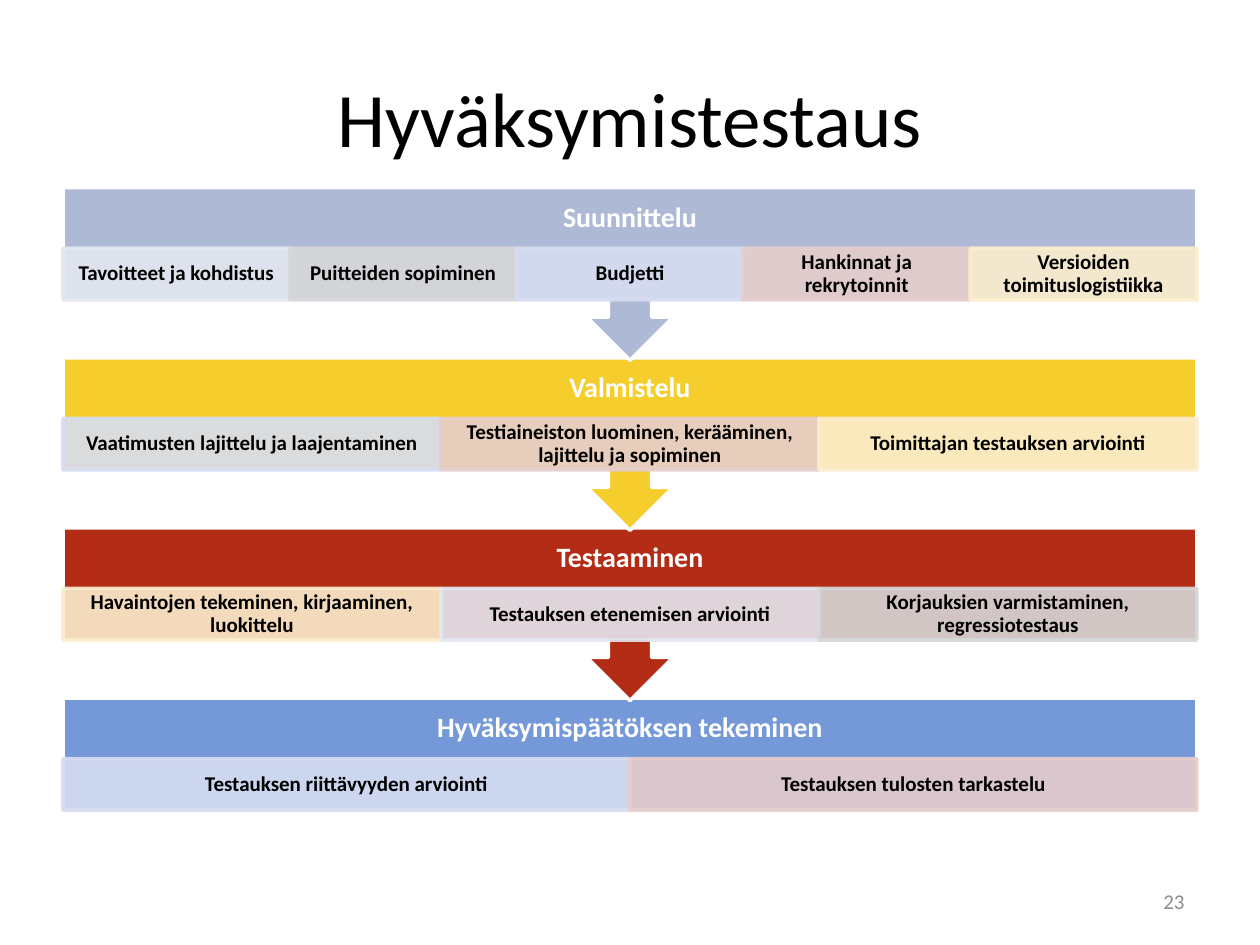
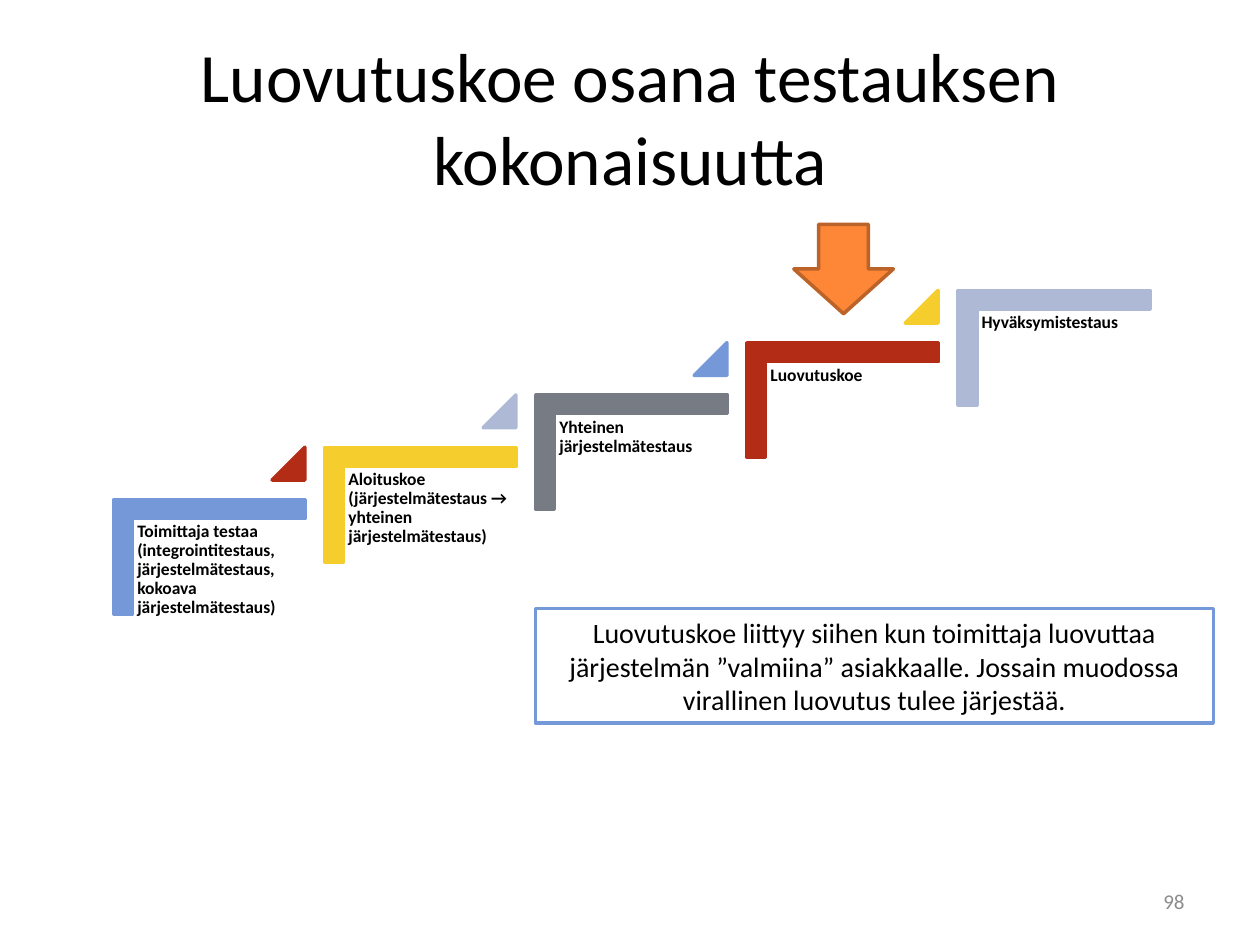
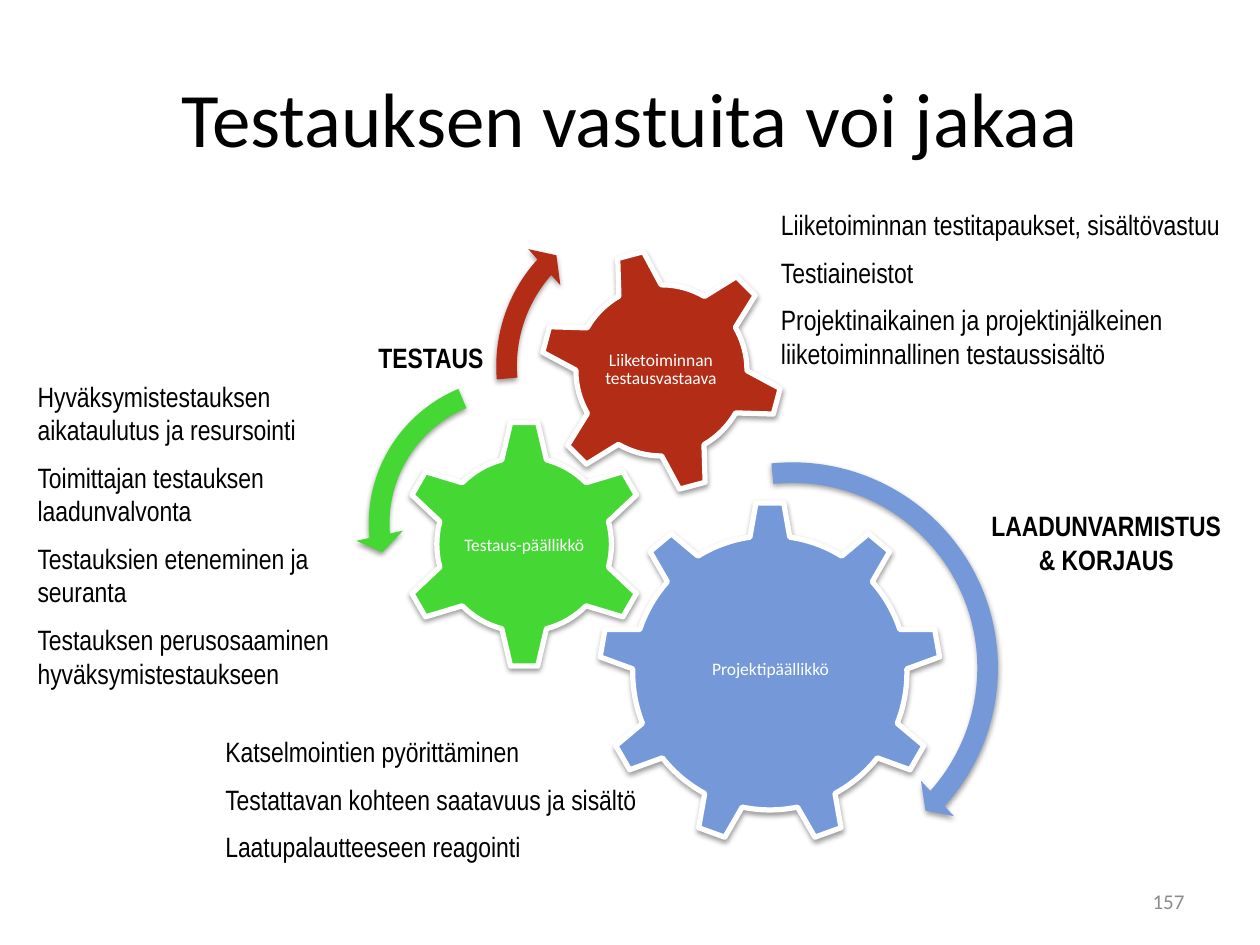
"""Builds three slides about acceptance testing, laid out on a grid of 100 columns by 75 rows."""

import dataclasses
import typing

import lxml.etree
import pptx
import pptx.dml.color
import pptx.enum.shapes
import pptx.enum.text
import pptx.oxml.ns
import pptx.presentation
import pptx.shapes.autoshape
import pptx.slide
import pptx.util

KIND = pptx.enum.shapes.MSO_SHAPE
ALIGN = pptx.enum.text.PP_ALIGN
ANCHOR = pptx.enum.text.MSO_ANCHOR

WIDTH, HEIGHT = pptx.util.Inches(10), pptx.util.Inches(7.5)
COLUMNS, ROWS = 100, 75

BLACK, WHITE, GREY = "000000", "FFFFFF", "8C8C8C"
BLUE, RED, YELLOW, LAVENDER = "7598D9", "B32C16", "F5CD2D", "AEBAD5"
SLATE, GREEN, ORANGE, BROWN = "777C84", "45D834", "FE8637", "BC6329"
TINTS = ("E3E7EF", "D6D7D9", "D6DDF1", "E5CDCC", "FBEDCD")


class Area(typing.NamedTuple):
    """A rectangle in grid columns and rows."""

    left: float
    top: float
    width: float
    height: float

    def moved(self, columns: float, rows: float) -> "Area":
        """Return the same rectangle shifted on the grid."""
        return self._replace(left=self.left + columns, top=self.top + rows)

    def lengths(self) -> tuple[int, int, int, int]:
        """Return the rectangle in slide units."""
        across, down = WIDTH / COLUMNS, HEIGHT / ROWS
        return (round(self.left * across), round(self.top * down),
                round(self.width * across), round(self.height * down))


@dataclasses.dataclass(frozen=True)
class TextStyle:
    """Formatting of a whole text frame; margins are in inches."""

    size: float
    color: str = BLACK
    bold: bool = False
    align: ALIGN = ALIGN.CENTER
    anchor: ANCHOR = ANCHOR.MIDDLE
    margins: tuple[float, float] = (0.1, 0.05)
    line_spacing: float = 1.0
    space_before: float = 0
    font: str = "Calibri"


class Stage(typing.NamedTuple):
    """A stage of acceptance testing with its tasks."""

    name: str
    color: str
    first_tint: int
    tasks: tuple[str, ...]


class Step(typing.NamedTuple):
    """A step of the testing staircase and the triangle leading on from it."""

    name: str
    color: str
    triangle: str | None


class Gear(typing.NamedTuple):
    """A gear that stands for a role, with the arrow turning it."""

    role: str
    color: str
    kind: KIND
    area: Area
    label: Area
    rotation: float
    arrow: KIND
    arrow_area: Area
    arrow_shape: tuple[float, ...]


class Note(typing.NamedTuple):
    """A list of duties or a heading beside the gears."""

    area: Area
    style: TextStyle
    lines: tuple[str, ...]


TITLE_AREA = Area(5, 3, 90, 12.5)
NUMBER_AREA = Area(71.7, 69.5, 23.3, 4)
NUMBER = TextStyle(12, GREY, align=ALIGN.RIGHT)
STAGE = TextStyle(16, WHITE, True, margins=(0.12, 0.12), line_spacing=0.9)
TASK = TextStyle(12, BLACK, True, margins=(0.09, 0.02), line_spacing=0.9)
STEP = TextStyle(10, BLACK, True, ALIGN.LEFT, ANCHOR.TOP, (0.04, 0.04), 0.9)
CAPTION = TextStyle(16)
ROLE = TextStyle(10, WHITE, margins=(0.01, 0.01), line_spacing=0.9)
DUTY = TextStyle(16, align=ALIGN.LEFT, anchor=ANCHOR.TOP, space_before=8, font="Arial Narrow")
HEADING = dataclasses.replace(DUTY, bold=True, align=ALIGN.CENTER)

STAGES = (
    Stage("Suunnittelu", LAVENDER, 0,
          ("Tavoitteet ja kohdistus", "Puitteiden sopiminen", "Budjetti",
           "Hankinnat ja rekrytoinnit", "Versioiden toimituslogistiikka")),
    Stage("Valmistelu", YELLOW, 2,
          ("Vaatimusten lajittelu ja laajentaminen",
           "Testiaineiston luominen, kerääminen, lajittelu ja sopiminen",
           "Toimittajan testauksen arviointi")),
    Stage("Testaaminen", RED, 4,
          ("Havaintojen tekeminen, kirjaaminen, luokittelu",
           "Testauksen etenemisen arviointi",
           "Korjauksien varmistaminen, regressiotestaus")),
    Stage("Hyväksymispäätöksen tekeminen", BLUE, 2,
          ("Testauksen riittävyyden arviointi", "Testauksen tulosten tarkastelu")),
)

STEPS = (
    Step("Toimittaja testaa (integrointitestaus, järjestelmätestaus, kokoava järjestelmätestaus)",
         BLUE, RED),
    Step("Aloituskoe (järjestelmätestaus → yhteinen järjestelmätestaus)", YELLOW, LAVENDER),
    Step("Yhteinen järjestelmätestaus", SLATE, BLUE),
    Step("Luovutuskoe", RED, YELLOW),
    Step("Hyväksymistestaus", LAVENDER, None),
)

GEARS = (
    Gear("Projektipäällikkö", BLUE, KIND.GEAR_9, Area(47.5, 39.8, 27.2, 27.2),
         Area(53, 46.2, 16.3, 14), 0, KIND.CIRCULAR_ARROW, Area(45.5, 35.6, 34.8, 34.8),
         (0.047, 2.99, 25.236, 158.454, 0.055)),
    Gear("Testaus-päällikkö", GREEN, KIND.GEAR_6, Area(31.7, 33.3, 19.8, 19.8),
         Area(36.7, 38.4, 9.8, 9.8), 0, KIND.LEFT_CIRCULAR_ARROW, Area(28.2, 28.9, 25.3, 25.3),
         (0.065, 4.3, 104.891, 148.378, 0.075)),
    Gear("Liiketoiminnan testausvastaava", RED, KIND.GEAR_6, Area(42.8, 19.7, 19.4, 19.4),
         Area(47, 23.9, 10.9, 10.9), 345, KIND.CIRCULAR_ARROW, Area(38.3, 15.4, 27.3, 27.3),
         (0.06, 3.941, 133.138, 105.082, 0.07)),
)

NOTES = (
    Note(Area(61, 16, 37, 14.4), DUTY,
         ("Liiketoiminnan testitapaukset, sisältövastuu", "Testiaineistot",
          "Projektinaikainen ja projektinjälkeinen liiketoiminnallinen testaussisältö")),
    Note(Area(2, 29.6, 26, 26.4), DUTY,
         ("Hyväksymistestauksen aikataulutus ja resursointi",
          "Toimittajan testauksen laadunvalvonta", "Testauksien eteneminen ja seuranta",
          "Testauksen perusosaaminen hyväksymistestaukseen")),
    Note(Area(16.9, 57.8, 37, 11.8), DUTY,
         ("Katselmointien pyörittäminen", "Testattavan kohteen saatavuus ja sisältö",
          "Laatupalautteeseen reagointi")),
    Note(Area(76.8, 39.9, 22, 6.4), HEADING, ("LAADUNVARMISTUS & KORJAUS",)),
    Note(Area(23.2, 26.5, 22, 3.7), HEADING, ("TESTAUS",)),
)


def paint(color_format: pptx.dml.color.ColorFormat, color: str) -> None:
    """Set a colour from its hex string."""
    color_format.rgb = pptx.dml.color.RGBColor.from_string(color)


def write(shape: pptx.shapes.autoshape.Shape, style: TextStyle, *lines: str) -> None:
    """Fill a shape with one paragraph a line and format them."""
    frame = shape.text_frame
    frame.text = "\n".join(lines)
    frame.word_wrap = True
    frame.auto_size = pptx.enum.text.MSO_AUTO_SIZE.NONE
    frame.vertical_anchor = style.anchor
    side, edge = (pptx.util.Inches(margin) for margin in style.margins)
    frame.margin_left = frame.margin_right = side
    frame.margin_top = frame.margin_bottom = edge
    for index, paragraph in enumerate(frame.paragraphs):
        paragraph.alignment = style.align
        paragraph.line_spacing = style.line_spacing
        paragraph.space_before = pptx.util.Pt(style.space_before if index else 0)
        for span in paragraph.runs:
            span.font.name = style.font
            span.font.size = pptx.util.Pt(style.size)
            span.font.bold = style.bold
            paint(span.font.color, style.color)


def add_text(page: pptx.slide.Slide, area: Area, style: TextStyle, *lines: str) -> None:
    """Add a text box."""
    write(page.shapes.add_textbox(*area.lengths()), style, *lines)


def add_figure(page: pptx.slide.Slide, kind: KIND, area: Area, fill: str,
               line: str | None = None, line_width: float = 2, rotation: float = 0,
               adjustments: tuple[float, ...] = ()) -> pptx.shapes.autoshape.Shape:
    """Add a flat preset shape."""
    shape = page.shapes.add_shape(kind, *area.lengths())
    shape.shadow.inherit = False
    shape.rotation = rotation
    for index, value in enumerate(adjustments):
        shape.adjustments[index] = value
    shape.fill.solid()
    paint(shape.fill.fore_color, fill)
    if line:
        paint(shape.line.color, line)
        shape.line.width = pptx.util.Pt(line_width)
    else:
        shape.line.fill.background()
    return shape


def add_element(parent: lxml.etree._Element, tag: str, **values: int | str) -> lxml.etree._Element:
    """Append a drawing element with its attributes."""
    attributes = {key: str(value) for key, value in values.items()}
    return lxml.etree.SubElement(parent, pptx.oxml.ns.qn(tag), attributes)


def make_translucent(shape: pptx.shapes.autoshape.Shape, opacity: int) -> None:
    """Set the opacity of fill and line in percent."""
    for color in list(shape.element.spPr.iter(pptx.oxml.ns.qn("a:srgbClr"))):
        add_element(color, "a:alpha", val=opacity * 1000)


def add_shadow(shape: pptx.shapes.autoshape.Shape) -> None:
    """Give a shape a soft shadow below it."""
    effects = shape.element.spPr.find(pptx.oxml.ns.qn("a:effectLst"))
    shadow = add_element(effects, "a:outerShdw", blurRad=pptx.util.Pt(3.1),
                         dist=pptx.util.Pt(1.6), dir=90 * 60000, rotWithShape=0)
    color = add_element(shadow, "a:srgbClr", val=BLACK)
    add_element(color, "a:alpha", val=38000)


def add_page(deck: pptx.presentation.Presentation, title: str, number: int,
             title_size: float = 44) -> pptx.slide.Slide:
    """Add a slide with its title and number."""
    page = deck.slides.add_slide(deck.slide_layouts.get_by_name("Title Only"))
    heading = page.shapes.title
    heading.left, heading.top, heading.width, heading.height = TITLE_AREA.lengths()
    write(heading, TextStyle(title_size), title)
    add_text(page, NUMBER_AREA, NUMBER, str(number))
    return page


def draw_stages(page: pptx.slide.Slide) -> None:
    """Draw the stages from the last up, so that each arrow lies over the next stage."""
    for index, stage in reversed(list(enumerate(STAGES))):
        header = Area(5, 14.9 + 13.5 * index, 90, 4.8)
        if index == len(STAGES) - 1:
            add_figure(page, KIND.RECTANGLE, header._replace(height=8.9), stage.color, WHITE)
        else:
            add_figure(page, KIND.UP_ARROW_CALLOUT, header._replace(height=13.7),
                       stage.color, WHITE, rotation=180)
        add_text(page, header, STAGE, stage.name)
        width = header.width / len(stage.tasks)
        for column, task in enumerate(stage.tasks):
            tint = TINTS[(stage.first_tint + column) % len(TINTS)]
            area = Area(header.left + column * width, header.top + header.height, width, 4.1)
            cell = add_figure(page, KIND.RECTANGLE, area, tint, tint)
            make_translucent(cell, 90)
            write(cell, TASK, task)


def draw_steps(page: pptx.slide.Slide) -> None:
    """Draw the staircase of testing, its pointer and its caption."""
    for index, step in enumerate(STEPS):
        shift = (16.75 * index, -4.15 * index)
        add_figure(page, KIND.CORNER, Area(12.1, 36.6, 9.1, 15.2).moved(*shift),
                   step.color, step.color, rotation=90, adjustments=(0.161, 0.161))
        add_text(page, Area(10.5, 41.1, 13.7, 12).moved(*shift), STEP, step.name)
        if step.triangle:
            add_figure(page, KIND.ISOSCELES_TRIANGLE, Area(21.6, 35.5, 2.6, 2.6).moved(*shift),
                       step.triangle, step.triangle, adjustments=(1,))
    add_figure(page, KIND.DOWN_ARROW, Area(63, 17.8, 7.9, 7.1), ORANGE, BROWN)
    caption = add_figure(page, KIND.RECTANGLE, Area(42.5, 48.3, 53.8, 9.1), WHITE, BLUE)
    write(caption, CAPTION,
          "Luovutuskoe liittyy siihen kun toimittaja luovuttaa järjestelmän ”valmiina” "
          "asiakkaalle. Jossain muodossa virallinen luovutus tulee järjestää.")


def draw_gears(page: pptx.slide.Slide) -> None:
    """Draw the gears of the roles, their arrows and the duties."""
    for gear in GEARS:
        add_shadow(add_figure(page, gear.kind, gear.area, gear.color, WHITE, 3, gear.rotation))
        add_text(page, gear.label, ROLE, gear.role)
    for gear in GEARS:
        add_shadow(add_figure(page, gear.arrow, gear.arrow_area, gear.color,
                              adjustments=gear.arrow_shape))
    for note in NOTES:
        add_text(page, note.area, note.style, *note.lines)


def main() -> None:
    """Build and save the deck."""
    deck = pptx.Presentation()
    deck.slide_width, deck.slide_height = WIDTH, HEIGHT
    draw_stages(add_page(deck, "Hyväksymistestaus", 23))
    draw_steps(add_page(deck, "Luovutuskoe osana testauksen kokonaisuutta", 98, 39.6))
    draw_gears(add_page(deck, "Testauksen vastuita voi jakaa", 157))
    deck.save("out.pptx")


if __name__ == "__main__":
    main()
